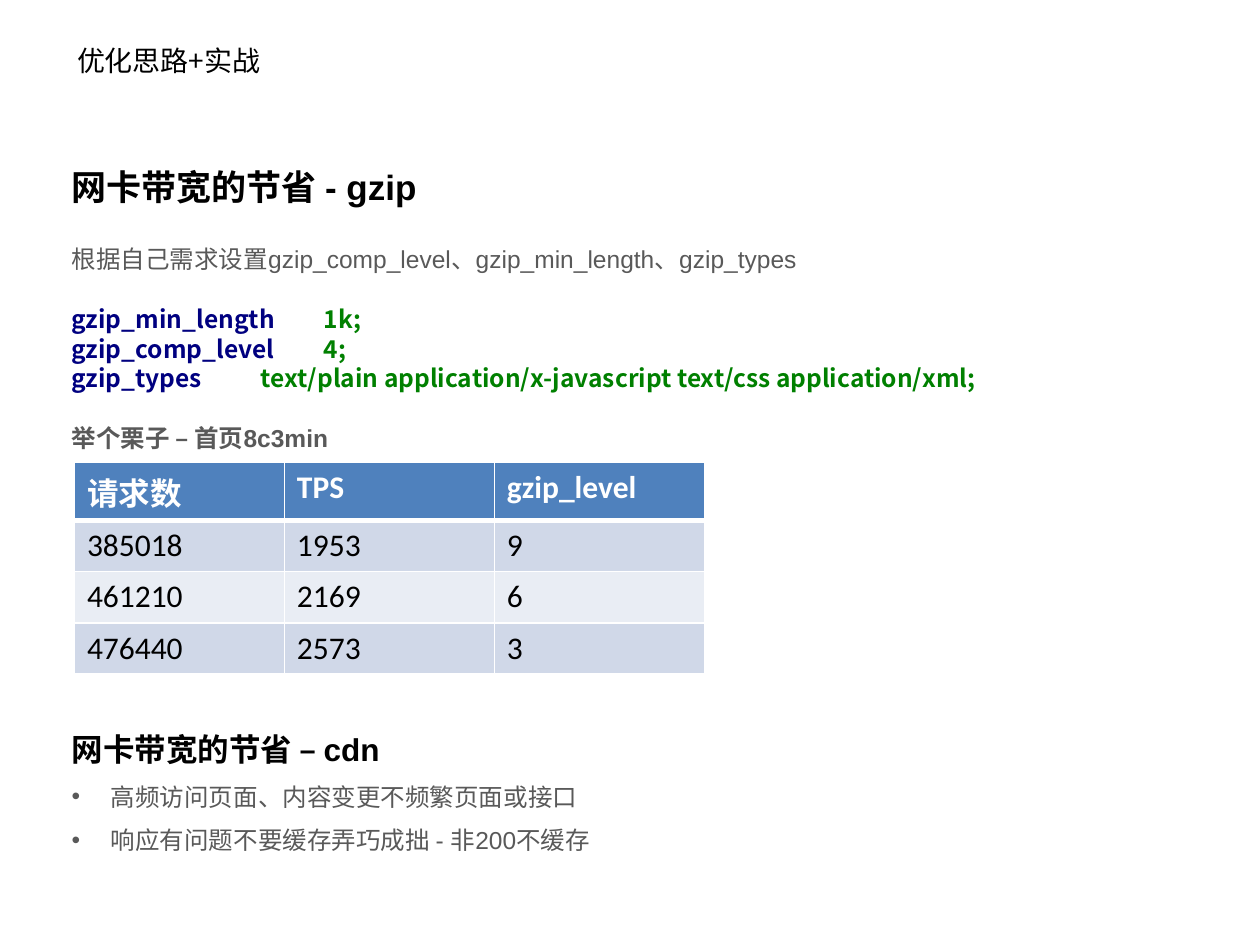
from dataclasses import dataclass

from lxml import etree
from pptx import Presentation
from pptx import util as u
from pptx.dml.color import RGBColor
from pptx.enum import text
from pptx.oxml.ns import qn


@dataclass(frozen=True)
class Theme:
    sans: str = "Arial"
    code: str = "Noto Sans CJK SC"
    cell: str = "Calibri"
    black: str = "000000"
    white: str = "FFFFFF"
    gray: str = "595959"
    navy: str = "000080"
    green: str = "008000"
    head: str = "4F81BD"
    bands: tuple = ("D0D8E8", "E9EDF4")
    small: int = 14
    name: int = 16
    mid: int = 18
    large: int = 20


T = Theme()
CODE = [
    ("gzip_min_length", "1k;", 4.66),
    ("gzip_comp_level", "4;", 4.66),
    ("gzip_types", "text/plain application/x-javascript text/css application/xml;", 3.77),
]
BULLETS = ["高频访问页面、内容变更不频繁页面或接口", "响应有问题不要缓存弄巧成拙 - 非200不缓存"]
ROWS = [
    ("请求数", "TPS", "gzip_level"),
    ("385018", "1953", "9"),
    ("461210", "2169", "6"),
    ("476440", "2573", "3"),
]


def assign(obj, **vals):
    for key, val in vals.items():
        setattr(obj, key, val)


def place(shape, left, top, width, height):
    assign(shape, left=u.Cm(left), top=u.Cm(top), width=u.Cm(width), height=u.Cm(height))


def write(para, words, color, size=T.small, name=T.sans, bold=False):
    run = para.add_run()
    run.text = words
    assign(run.font, name=name, size=u.Pt(size), bold=bold)
    run.font.color.rgb = RGBColor.from_string(color)


def line(frame, before=0, height=17, dot=False, tab=None):
    para = frame.paragraphs[0]
    if para.runs:
        para = frame.add_paragraph()
    assign(para, space_before=u.Pt(before), space_after=u.Pt(0),
           line_spacing=u.Pt(height), alignment=text.PP_ALIGN.LEFT)
    props = para._p.get_or_add_pPr()
    indent = u.Cm(0.79) if dot else 0
    props.set("marL", str(indent))
    props.set("indent", str(-indent))
    if dot:
        etree.SubElement(props, qn("a:buChar"), char="•")
    else:
        etree.SubElement(props, qn("a:buNone"))
    if tab:
        stops = etree.SubElement(props, qn("a:tabLst"))
        etree.SubElement(stops, qn("a:tab"), pos=str(u.Cm(tab)), algn="l")
    return para


def add_title(shape):
    place(shape, 1.3, 0.74, 13.21, 0.94)
    frame = shape.text_frame
    assign(frame, word_wrap=True, auto_size=text.MSO_AUTO_SIZE.NONE,
           vertical_anchor=text.MSO_ANCHOR.MIDDLE)
    para = frame.paragraphs[0]
    para.alignment = text.PP_ALIGN.LEFT
    write(para, "优化思路+实战", T.black, T.name, T.code)


def add_body(shape):
    place(shape, 1.19, 3.15, 22.91, 15.09)
    frame = shape.text_frame
    assign(frame, word_wrap=True, auto_size=text.MSO_AUTO_SIZE.NONE,
           vertical_anchor=text.MSO_ANCHOR.TOP)
    write(line(frame, height=25.5), "网卡带宽的节省 - gzip", T.black, T.large, bold=True)
    write(line(frame, before=21),
          "根据自己需求设置gzip_comp_level、gzip_min_length、gzip_types", T.gray)
    for i, (key, val, tab) in enumerate(CODE):
        para = line(frame, before=0 if i else 17, tab=tab)
        write(para, key + "\t", T.navy, name=T.code, bold=True)
        write(para, val, T.green, name=T.code, bold=True)
    write(line(frame, before=17), "举个栗子 – 首页8c3min", T.gray, bold=True)
    write(line(frame, before=158, height=22), "网卡带宽的节省 – cdn", T.black, T.mid, bold=True)
    for words in BULLETS:
        write(line(frame, before=8, dot=True), words, T.gray)


def edge(cell, side, width):
    ln = etree.Element(qn("a:ln" + side), w=str(u.Pt(width)))
    fill = etree.SubElement(ln, qn("a:solidFill"))
    etree.SubElement(fill, qn("a:srgbClr"), val=T.white)
    return ln


def add_grid(slide):
    box = [u.Cm(n) for n in (1.5, 9.32, 12.7, 4.11)]
    table = slide.shapes.add_table(len(ROWS), len(ROWS[0]), *box).table
    for r, row in enumerate(ROWS):
        for c, words in enumerate(row):
            cell = table.cell(r, c)
            cell.fill.solid()
            shade = T.bands[(r - 1) % 2] if r else T.head
            cell.fill.fore_color.rgb = RGBColor.from_string(shade)
            props = cell._tc.get_or_add_tcPr()
            for i, side in enumerate("LRTB"):
                thick = (side, r) in (("B", 0), ("T", 1))
                props.insert(i, edge(cell, side, 3 if thick else 1))
            write(cell.text_frame.paragraphs[0], words, T.black if r else T.white,
                  T.mid, T.cell, bold=r == 0)


def main():
    deck = Presentation()
    assign(deck, slide_width=u.Cm(25.4), slide_height=u.Cm(19.05))
    slide = deck.slides.add_slide(deck.slide_layouts[1])
    add_title(slide.shapes.title)
    add_body(slide.placeholders[1])
    add_grid(slide)
    deck.save("out.pptx")


if __name__ == "__main__":
    main()
